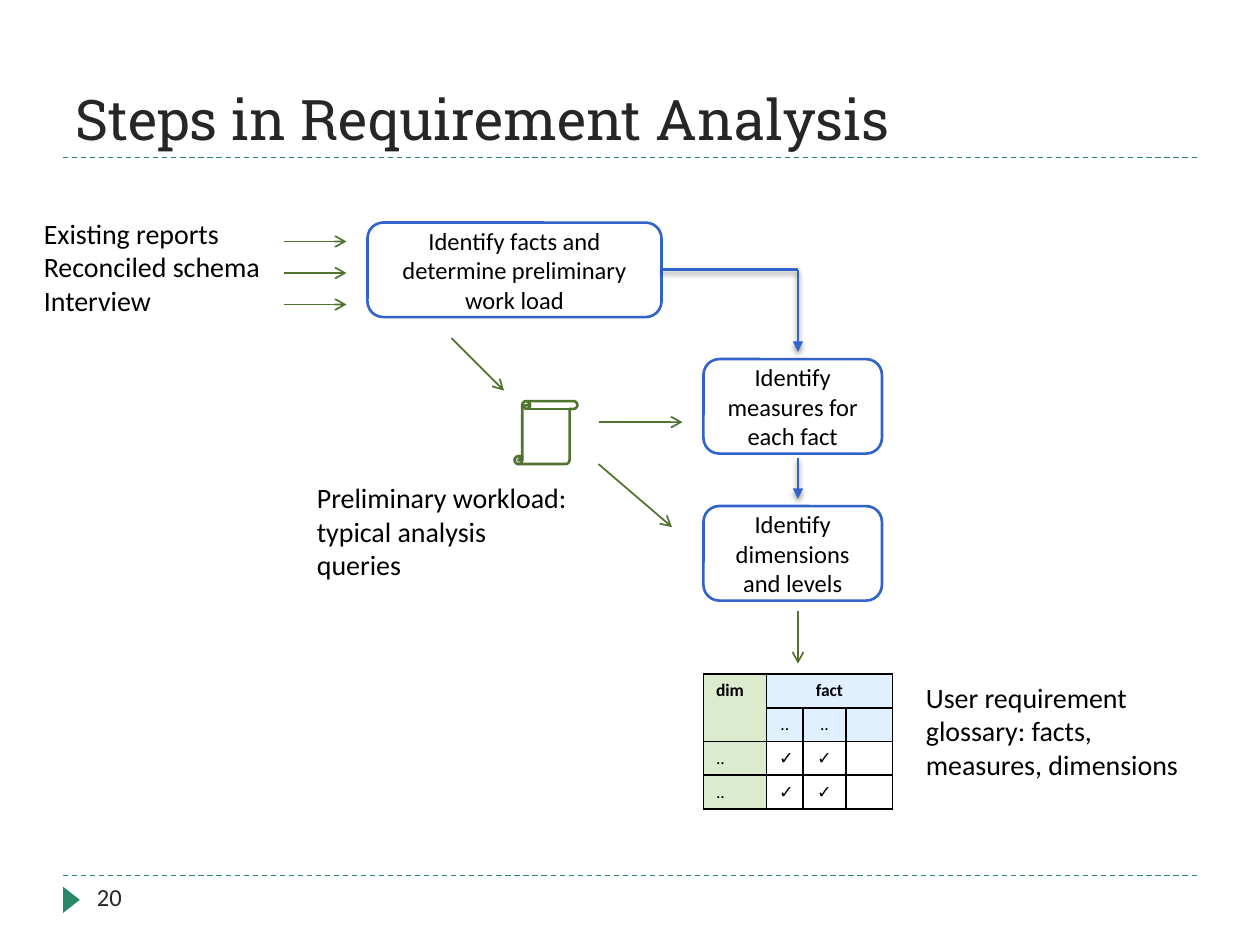
"""Builds the slide on the steps in requirement analysis."""
from dataclasses import dataclass

from lxml.etree import SubElement
from pptx import Presentation
from pptx.dml.color import RGBColor
from pptx.enum.dml import MSO_LINE
from pptx.enum.shapes import MSO_CONNECTOR, MSO_SHAPE
from pptx.enum.text import MSO_ANCHOR, PP_ALIGN
from pptx.oxml import parse_xml
from pptx.oxml.ns import nsdecls, qn
from pptx.util import Emu, Inches, Pt


@dataclass(frozen=True)
class Theme:
    head: str = "Roboto Slab"
    body: str = "Calibri"
    ink: str = "262626"
    black: str = "000000"
    white: str = "FFFFFF"
    teal: str = "268868"
    blue: str = "3163CA"
    green: str = "50742F"
    mint: str = "DCEBCE"
    sky: str = "E1F0FF"
    title: int = 32
    label: int = 16
    step: int = 14
    cell: int = 10


T = Theme()
COLS, ROWS = 120, 90
deck = Presentation()
deck.slide_width, deck.slide_height = Inches(10), Inches(7.5)
slide = deck.slides.add_slide(deck.slide_layouts[6])
shapes = slide.shapes


def grid(*spots):
    """Turn column and row numbers, in turn, into lengths."""
    units = deck.slide_width / COLS, deck.slide_height / ROWS
    return [Emu(round(n * units[i % 2])) for i, n in enumerate(spots)]


def write(frame, text, size=T.label, font=T.body, color=T.black, bold=False,
          align=PP_ALIGN.LEFT, anchor=MSO_ANCHOR.TOP):
    """Fill a text frame, one paragraph to a line of text."""
    frame.word_wrap = True
    frame.vertical_anchor = anchor
    for i, line in enumerate(text.split("\n")):
        para = frame.paragraphs[0] if i == 0 else frame.add_paragraph()
        para.alignment = align
        run = para.add_run()
        run.text = line
        run.font.size, run.font.name, run.font.bold = Pt(size), font, bold
        run.font.color.rgb = RGBColor.from_string(color)


# name: preset, place, fill, line, text
forms = {
    "mark": (MSO_SHAPE.ISOSCELES_TRIANGLE, (5.55, 84.9, 2.5, 1.6), T.teal, None, ""),
    "facts": (MSO_SHAPE.ROUNDED_RECTANGLE, (35, 21.2, 28, 9), T.white, T.blue,
              "Identify facts and determine preliminary work load"),
    "scroll": (MSO_SHAPE.VERTICAL_SCROLL, (49, 38.2, 6, 6), T.white, T.green, ""),
    "measures": (MSO_SHAPE.ROUNDED_RECTANGLE, (67, 34.2, 17, 9), T.white, T.blue,
                 "Identify measures for each fact"),
    "levels": (MSO_SHAPE.ROUNDED_RECTANGLE, (67, 48.2, 17, 9), T.white, T.blue,
               "Identify dimensions and levels"),
}
made = {}
for name, (preset, place, fill, edge, text) in forms.items():
    form = made[name] = shapes.add_shape(preset, *grid(*place))
    form.shadow.inherit = False
    form.fill.solid()
    form.fill.fore_color.rgb = RGBColor.from_string(fill)
    if edge:
        form.line.color.rgb = RGBColor.from_string(edge)
        form.line.width = Pt(1.5)
    else:
        form.line.fill.background()
    if text:
        write(form.text_frame, text, size=T.step, align=PP_ALIGN.CENTER,
              anchor=MSO_ANCHOR.MIDDLE)
made["mark"].rotation = 90

labels = [
    ((6, 3, 108, 12), "Steps in Requirement Analysis",
     dict(size=T.title, font=T.head, color=T.ink, anchor=MSO_ANCHOR.BOTTOM)),
    ((8.05, 83.4, 26, 4.8), "20", dict(size=T.step, color=T.ink)),
    ((3, 20, 24, 11), "Existing reports\nReconciled schema\nInterview", {}),
    ((29, 45.2, 27, 11), "Preliminary workload: typical analysis queries", {}),
    ((87, 64.2, 27, 11), "User requirement glossary: facts, measures, dimensions", {}),
]
for place, text, look in labels:
    write(shapes.add_textbox(*grid(*place)).text_frame, text, **look)

mid, turn = 76, 25.7
rule = dict(color=T.teal, width=0.75, dash=True)
flow = dict(color=T.green, width=1, head="arrow")
path = dict(color=T.blue, width=1.5, shade=True)
lines = [((6, y, 114, y), rule) for y in (15, 83.4)]
lines += [((27, y, 33, y), flow) for y in (23, 26, 29)]
lines += [
    ((43, 32.2, 48, 37.2), flow),
    ((57, 40.2, 65, 40.2), flow),
    ((57, 44.2, 64, 50.2), flow),
    ((mid, 58.2, mid, 63.2), flow),
    ((63, turn, mid, turn), path | dict(start="facts")),
    ((mid, turn, mid, 33.5), path | dict(head="triangle")),
    ((mid, 43.6, mid, 47.5), path | dict(head="triangle")),
]
for ends, look in lines:
    link = shapes.add_connector(MSO_CONNECTOR.STRAIGHT, *grid(*ends))
    if "start" in look:
        link.begin_connect(made[look["start"]], 3)
    link.line.color.rgb = RGBColor.from_string(look["color"])
    link.line.width = Pt(look["width"])
    if "dash" in look:
        link.line.dash_style = MSO_LINE.DASH
    if "head" in look:
        SubElement(link.line._get_or_add_ln(), qn("a:tailEnd"), type=look["head"])
    glow = SubElement(link._element.spPr, qn("a:effectLst"))
    if "shade" in look:
        glow.append(parse_xml(
            f'<a:outerShdw {nsdecls("a")} blurRad="{Pt(3)}" dist="{Pt(2)}" dir="5400000" '
            f'rotWithShape="0"><a:srgbClr val="{T.black}"><a:alpha val="40000"/>'
            '</a:srgbClr></a:outerShdw>'))

cells = [["dim", "fact", "", ""],
         ["", "..", "..", ""],
         ["..", "✓", "✓", ""],
         ["..", "✓", "✓", ""]]
table = shapes.add_table(4, 4, *grid(67, 64.2, 18, 12.8)).table
table.first_row = table.horz_banding = False
for col, wide in zip(table.columns, (0.5, 0.29, 0.34, 0.37)):
    col.width = Inches(wide)
for r, row in enumerate(cells):
    for c, text in enumerate(row):
        cell = table.cell(r, c)
        if text:
            write(cell.text_frame, text, size=T.cell, bold=r == 0,
                  align=PP_ALIGN.CENTER if c else PP_ALIGN.LEFT)
        else:
            SubElement(cell.text_frame.paragraphs[0]._p, qn("a:endParaRPr"),
                       sz=str(T.cell * 100))
        props = cell._tc.get_or_add_tcPr()
        for side in ("lnL", "lnR", "lnT", "lnB"):
            props.append(parse_xml(
                f'<a:{side} {nsdecls("a")} w="{Pt(1)}"><a:solidFill>'
                f'<a:srgbClr val="{T.black}"/></a:solidFill></a:{side}>'))
        cell.fill.solid()
        tint = T.mint if c == 0 else T.sky if r < 2 else T.white
        cell.fill.fore_color.rgb = RGBColor.from_string(tint)
table.cell(0, 0).merge(table.cell(1, 0))
table.cell(0, 1).merge(table.cell(0, 3))

deck.save("out.pptx")
